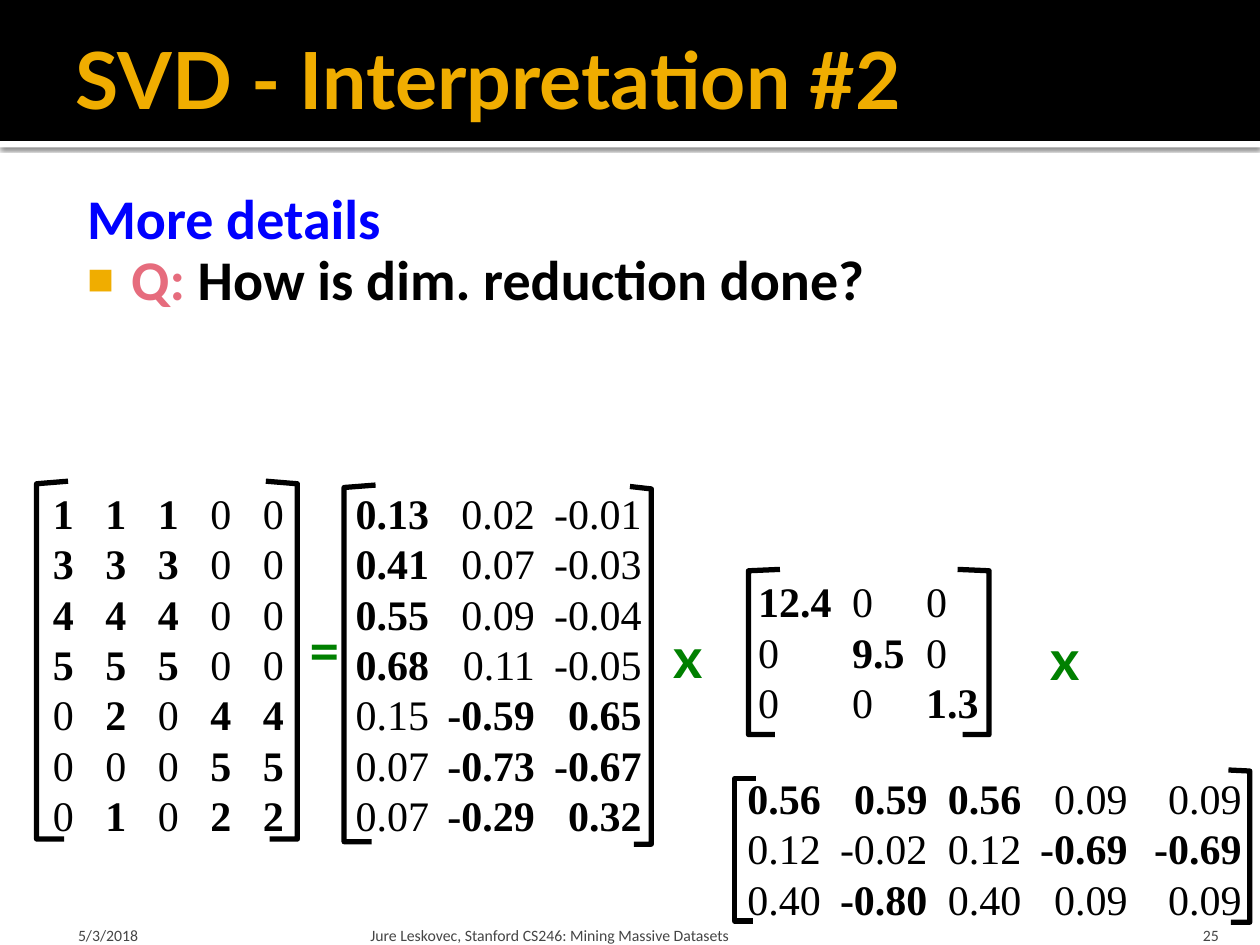
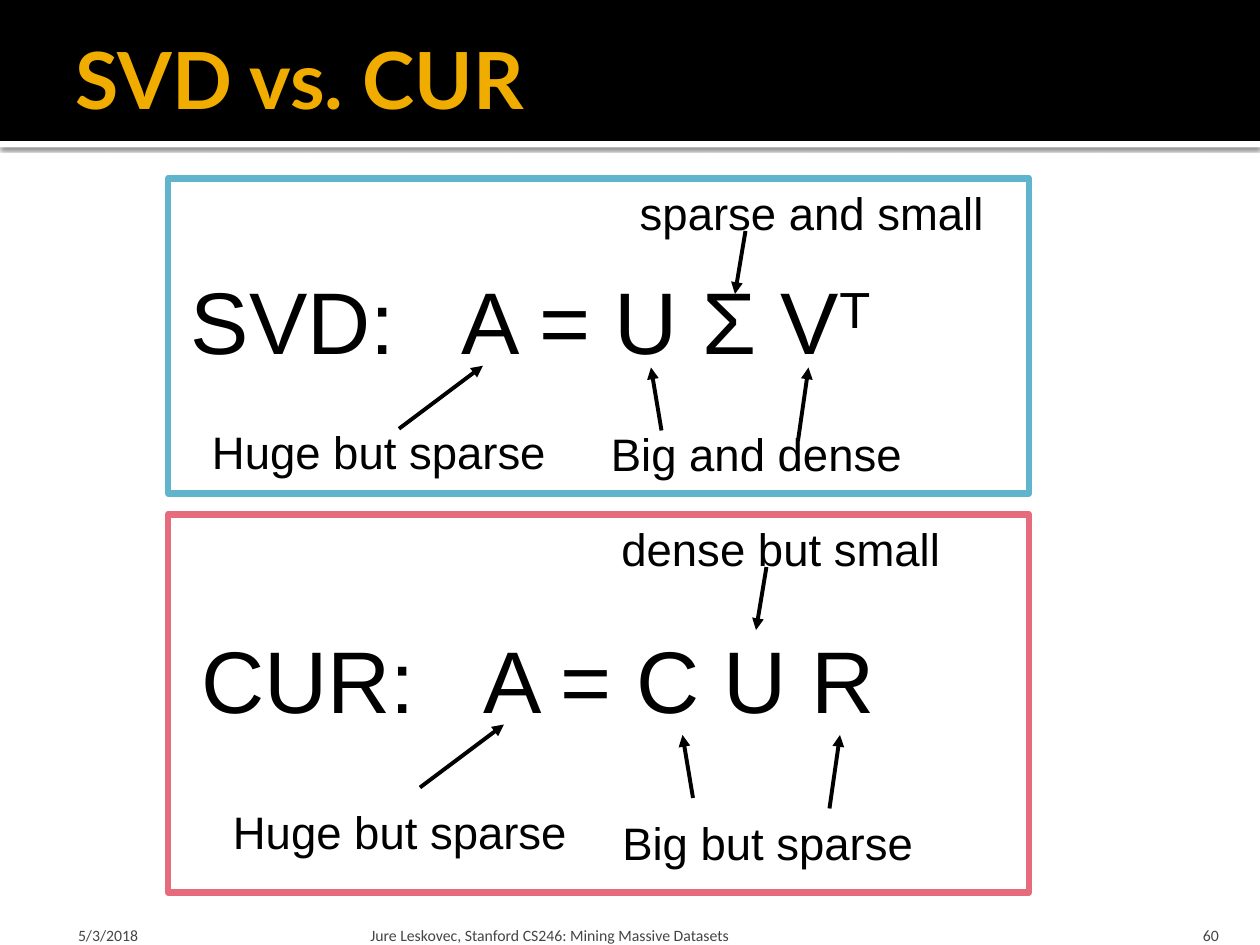
from dataclasses import dataclass

from lxml import etree
from pptx import Presentation
from pptx.dml.color import RGBColor
from pptx.enum.shapes import MSO_CONNECTOR, MSO_SHAPE
from pptx.enum.text import MSO_ANCHOR, MSO_AUTO_SIZE, PP_ALIGN
from pptx.oxml.ns import qn
from pptx.util import Pt

RECT = MSO_SHAPE.RECTANGLE
LINE = MSO_CONNECTOR.STRAIGHT
TOP, MID, LOW = MSO_ANCHOR.TOP, MSO_ANCHOR.MIDDLE, MSO_ANCHOR.BOTTOM
LEFT, RIGHT = PP_ALIGN.LEFT, PP_ALIGN.RIGHT
FIXED = MSO_AUTO_SIZE.NONE

BLACK, WHITE, GREY = "000000", "FFFFFF", "454545"
GOLD, ROSE, SKY = "F0AD00", "E66C7D", "60B5CC"
BLUE, GREEN = "0000FF", "008000"
INSET = (7.2, 3.6, 7.2, 3.6)
DATE = "5/3/2018"
CREDIT = "Jure Leskovec, Stanford CS246: Mining Massive Datasets"


@dataclass
class Box:
    x: float
    y: float
    w: float
    h: float

    def emu(self) -> tuple:
        return Pt(self.x), Pt(self.y), Pt(self.w), Pt(self.h)


@dataclass
class Font:
    name: str
    size: float
    color: str = BLACK
    bold: bool = False


@dataclass
class Hook:
    tip: float
    top: float
    spine: float
    bend: float
    foot: float
    toe: float


@dataclass
class Matrix:
    box: Box
    stops: list
    align: str
    rows: list
    hooks: list


@dataclass
class Label:
    text: str
    box: Box


@dataclass
class Arrow:
    x1: float
    y1: float
    x2: float
    y2: float


@dataclass
class Panel:
    box: Box
    color: str
    eq: Box
    name: str
    stop: float
    terms: str
    power: str
    labels: list
    arrows: list


HEAD = Font("Lato", 45, GOLD, True)
SIGN = Font("Lato", 32, GREEN, True)
FOOT = Font("Calibri", 9, GREY)
NOTE = Font("Arial", 26)
MATH = Font("Arial", 50)


def rgb(color: str) -> RGBColor:
    return RGBColor.from_string(color)


def sub(node, tag: str, **attrs):
    return etree.SubElement(node, qn(tag), attrs)


def write(para, text: str, font: Font):
    run = para.add_run()
    run.text = text
    run.font.name, run.font.size = font.name, Pt(font.size)
    run.font.bold = font.bold
    run.font.color.rgb = rgb(font.color)
    return run


def frame(shape, inset=INSET, anchor=TOP, wrap: bool = True):
    tf = shape.text_frame
    tf.auto_size = FIXED
    tf.word_wrap, tf.vertical_anchor = wrap, anchor
    tf.margin_left, tf.margin_top, tf.margin_right, tf.margin_bottom = map(Pt, inset)
    return tf


def place(shape, box: Box) -> None:
    shape.left, shape.top, shape.width, shape.height = box.emu()


def label(slide, text: str, box: Box, font: Font, inset=INSET,
          anchor=TOP, align=LEFT, wrap: bool = False) -> None:
    tf = frame(slide.shapes.add_textbox(*box.emu()), inset, anchor, wrap)
    tf.paragraphs[0].alignment = align
    write(tf.paragraphs[0], text, font)


def tabs(para, stops: list, align: str) -> None:
    group = sub(para._p.get_or_add_pPr(), "a:tabLst")
    for stop in stops:
        sub(group, "a:tab", pos=str(Pt(stop)), algn=align)


def rect(slide, box: Box, fill: str, edge: str = ""):
    shape = slide.shapes.add_shape(RECT, *box.emu())
    shape.shadow.inherit = False
    shape.fill.solid()
    shape.fill.fore_color.rgb = rgb(fill)
    if edge:
        shape.line.color.rgb = rgb(edge)
        shape.line.width = Pt(3.78)
    else:
        shape.line.fill.background()
    return shape


def shade(shape) -> None:
    fx = shape._element.spPr.find(qn("a:effectLst"))
    cast = sub(fx, "a:outerShdw", blurRad=str(Pt(2.5)), dist=str(Pt(0.8)),
               dir="5400000", rotWithShape="0")
    sub(sub(cast, "a:srgbClr", val=BLACK), "a:alpha", val="60000")


def start(deck, kind: int, title: str, page: str):
    slide = deck.slides.add_slide(deck.slide_layouts[kind])
    head = slide.shapes.title
    strip = rect(slide, Box(0, 80.6, 720, 3.6), WHITE)
    shade(strip)
    band = rect(slide, Box(0, 0, 720, 80.6), BLACK)
    for shape in (strip, band):
        head.element.addprevious(shape.element)
    place(head, Box(36, 5.8, 648, 77.8))
    tf = frame(head, (7.2, 3.6, 3.6, 3.6), MID)
    tf.paragraphs[0].alignment = LEFT
    write(tf.paragraphs[0], title, HEAD)
    for text, x, w, pad, align in ((DATE, 36, 168, 8.6, LEFT),
                                   (CREDIT, 208, 433, 3.6, LEFT),
                                   (page, 646, 57.6, 7.2, RIGHT)):
        label(slide, text, Box(x, 518.4, w, 21.6), FOOT,
              (pad, 3.6, 7.2 if align == RIGHT else 3.6, 0), LOW, align, True)
    return slide


def body(slide) -> None:
    shape = slide.placeholders[1]
    place(shape, Box(36, 102.2, 648, 414))
    tf = frame(shape, (4.3, 7.2, 7.2, 3.6))
    lines = ([("More details", BLUE)],
             [("Q:", ROSE), (" How is dim. reduction done?", BLACK)])
    for i, line in enumerate(lines):
        para = tf.add_paragraph() if i else tf.paragraphs[0]
        para.line_spacing, para.space_before = 0.9, Pt(0)
        props = para._p.get_or_add_pPr()
        props.set("marL", str(Pt(34.6)))
        props.set("indent", str(Pt(-25.2)))
        if i:
            sub(sub(props, "a:buClr"), "a:srgbClr", val=GOLD)
            sub(props, "a:buSzPct", val="80000")
            sub(props, "a:buFont", typeface="Arial")
            sub(props, "a:buChar", char="■")
        else:
            sub(props, "a:buNone")
        for text, color in line:
            write(para, text, Font("Calibri", 32, color, True))


def hook(slide, h: Hook) -> None:
    path = slide.shapes.build_freeform(Pt(h.tip), Pt(h.top))
    path.add_line_segments([(Pt(x), Pt(y)) for x, y in (
        (h.spine, h.bend), (h.spine, h.foot), (h.toe, h.foot))], close=False)
    shape = path.convert_to_shape()
    shape.shadow.inherit = False
    shape.fill.background()
    shape.line.color.rgb, shape.line.width = rgb(BLACK), Pt(3)


def matrix(slide, m: Matrix) -> None:
    for h in m.hooks:
        hook(slide, h)
    tf = frame(slide.shapes.add_textbox(*m.box.emu()), (0, 3.6, 0, 3.6))
    for i, row in enumerate(m.rows):
        para = tf.add_paragraph() if i else tf.paragraphs[0]
        para.line_spacing = Pt(28.8)
        tabs(para, m.stops, m.align)
        for j, cell in enumerate(row.split()):
            write(para, "\t" * (j > 0) + cell.lstrip("*"),
                  Font("Times New Roman", 24, BLACK, cell.startswith("*")))


def arrow(slide, a: Arrow) -> None:
    line = slide.shapes.add_connector(LINE, Pt(a.x1), Pt(a.y1), Pt(a.x2), Pt(a.y2))
    line.line.color.rgb, line.line.width = rgb(BLACK), Pt(2.25)
    sub(line.line._get_or_add_ln(), "a:tailEnd", type="triangle")
    sub(line._element.spPr, "a:effectLst")


def panel(slide, p: Panel) -> None:
    rect(slide, p.box, WHITE, p.color)
    tf = frame(slide.shapes.add_textbox(*p.eq.emu()))
    para = tf.paragraphs[0]
    tabs(para, [p.stop], "l")
    write(para, p.name, MATH)
    write(para, "\t" + p.terms, MATH)
    if p.power:
        run = write(para, p.power, MATH)
        run._r.get_or_add_rPr().set("baseline", "30000")
    for item in p.labels:
        label(slide, item.text, item.box, NOTE)
    for item in p.arrows:
        arrow(slide, item)


MATS = [
    Matrix(Box(30.2, 275, 138, 211), [30, 60, 90, 120], "l",
           ["*1 *1 *1 0 0", "*3 *3 *3 0 0", "*4 *4 *4 0 0", "*5 *5 *5 0 0",
            "0 *2 0 *4 *4", "0 0 0 *5 *5", "0 *1 0 *2 *2"],
           [Hook(38.9, 275, 20.9, 276.5, 479.5, 36.7),
            Hook(151.9, 275, 169.9, 276.5, 479.5, 154.1)]),
    Matrix(Box(203.2, 275, 175, 211), [102.5, 163.5], "r",
           ["*0.13 0.02 -0.01", "*0.41 0.07 -0.03", "*0.55 0.09 -0.04",
            "*0.68 0.11 -0.05", "0.15 *-0.59 *0.65", "0.07 *-0.73 *-0.67",
            "0.07 *-0.29 *0.32"],
           [Hook(214.6, 277.2, 196.6, 278.6, 481, 212.4),
            Hook(360, 278, 372.2, 279.4, 482.4, 362.2)]),
    Matrix(Box(433.2, 325.4, 140, 94.3), [53.7, 96], "l",
           ["*12.4 0 0", "0 *9.5 0", "0 0 *1.3"],
           [Hook(445.7, 325.4, 427.7, 326.2, 419.8, 442.8),
            Hook(547.2, 325.4, 565.2, 326.2, 419.8, 550.1)]),
    Matrix(Box(427, 437.8, 292, 94.3), [103, 156.6, 217.4, 282.5], "r",
           ["*0.56 *0.59 *0.56 0.09 0.09", "0.12 -0.02 0.12 *-0.69 *-0.69",
            "0.40 *-0.80 0.40 0.09 0.09"],
           [Hook(432, 445, 419.8, 445, 526.3, 430.6),
            Hook(702, 440, 714.2, 440.6, 527, 703.4)]),
]

PANELS = [
    Panel(Box(96, 294, 492, 216), ROSE, Box(108, 354, 474, 67), "CUR:", 161,
          "A = C U R", "",
          [Label("Huge but sparse", Box(126, 456, 207.4, 38.5)),
           Label("Big but sparse", Box(348.5, 462, 180.7, 38.5)),
           Label("dense but small", Box(348, 294, 196.6, 38.5))],
          [Arrow(240, 450, 288, 414), Arrow(396, 456, 390, 420),
           Arrow(474, 462, 480, 420), Arrow(438, 324, 432, 360)]),
    Panel(Box(96, 102, 492, 180), SKY, Box(102, 149, 474, 67), "SVD:", 154.7,
          "A = U Σ V", "T",
          [Label("Huge but sparse", Box(114, 239, 207.4, 38.5)),
           Label("Big and dense", Box(342, 240, 181.4, 38.5)),
           Label("sparse and small", Box(358.5, 102, 211, 38.5))],
          [Arrow(228, 245, 276, 209), Arrow(378, 246, 372, 210),
           Arrow(456, 252, 462, 210), Arrow(426, 132, 420, 168)]),
]

deck = Presentation()
deck.slide_width, deck.slide_height = Pt(720), Pt(540)

view = start(deck, 1, "SVD - Interpretation #2", "25")
body(view)
for sign, x, y in (("=", 169.2, 347.8), ("x", 378, 352), ("x", 593.3, 352.8)):
    label(view, sign, Box(x, y, 31.7, 46), SIGN, anchor=MID)
for mat in MATS:
    matrix(view, mat)

view = start(deck, 5, "SVD vs. CUR", "60")
for part in PANELS:
    panel(view, part)

deck.save("out.pptx")
